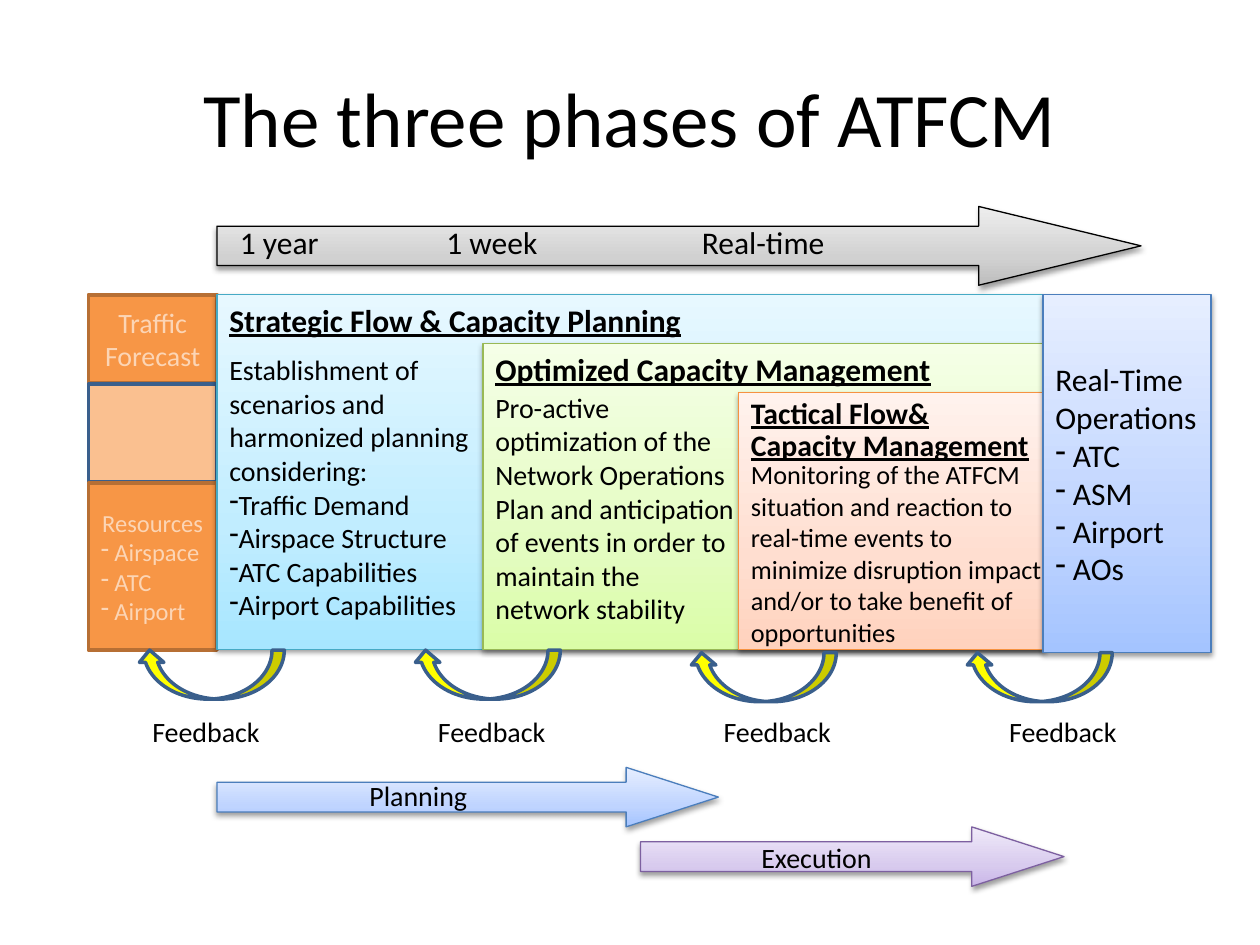
from lxml import etree
from pptx import Presentation
from pptx.dml.color import RGBColor
from pptx.enum.shapes import MSO_SHAPE
from pptx.enum.text import MSO_ANCHOR, PP_ALIGN
from pptx.oxml.ns import qn
from pptx.util import Pt

RECT, ARROW, CURVE = MSO_SHAPE.RECTANGLE, MSO_SHAPE.RIGHT_ARROW, MSO_SHAPE.CURVED_UP_ARROW
LEFT, CENTER = PP_ALIGN.LEFT, PP_ALIGN.CENTER
TOP, MIDDLE = MSO_ANCHOR.TOP, MSO_ANCHOR.MIDDLE
FONT = "Calibri"
HEX = {
    "black": "000000", "orange": "F79646", "rust": "B76F34", "peach": "FAC090",
    "cream": "FCD5B5", "navy": "3A5F8C", "yellow": "FFFF00",
}
FADES = {
    "gray": ("BDBDBD", "D1D1D1", "EEEEEE", "000000"),
    "cyan": ("A7E6FF", "C1EDFF", "E7F8FF", "46AAC5"),
    "green": ("DAFDA7", "E4FCC2", "F5FFE7", "98B955"),
    "red": ("FFD2BD", "FFDED0", "FFF2ED", "F69240"),
    "blue": ("A4C4FF", "BFD4FF", "E6EEFF", "4B7EBC"),
    "purple": ("C9B5E8", "D8CBEE", "F0EAF9", "7D60A0"),
}


def color(code):
    """Turn a hex string into a colour."""
    return RGBColor.from_string(code)


def node(parent, tag, **attrs):
    """Add a drawing element below parent."""
    return etree.SubElement(parent, qn("a:" + tag), {k: str(v) for k, v in attrs.items()})


def write(shape, lines, size, align=LEFT, anchor=TOP, bold=False, tint="black", space=None):
    """Fill a shape with paragraphs; a leading dash makes a bullet."""
    frame = shape.text_frame
    frame.word_wrap, frame.vertical_anchor = True, anchor
    for i, line in enumerate(lines):
        para = frame.add_paragraph() if i else frame.paragraphs[0]
        bullet = line.startswith("-")
        para.text = line[1:] if bullet else line
        para.alignment = LEFT if bullet else align
        if space:
            para.line_spacing = Pt(space)
        font = para.font
        font.name, font.size, font.bold, font.underline = FONT, Pt(size), bold, bold
        font.color.rgb = color(HEX[tint])
        if bullet:
            props = para._p.get_or_add_pPr()
            mark = node(props, "buChar", char="-")
            props.insert(0, mark)


def label(slide, box, lines, size, **look):
    """Place a text box."""
    write(slide.shapes.add_textbox(*map(Pt, box)), lines, size, **look)


def block(slide, kind, box, fill, line):
    """Place a flat shape with a two-point outline."""
    shape = slide.shapes.add_shape(kind, *map(Pt, box))
    shape.shadow.inherit = False
    shape.fill.solid()
    shape.fill.fore_color.rgb = color(HEX[fill])
    shape.line.color.rgb, shape.line.width = color(HEX[line]), Pt(2)
    return shape


def panel(slide, kind, box, fade):
    """Place a shape with an upward fade and a soft shadow."""
    shape = slide.shapes.add_shape(kind, *map(Pt, box))
    *stops, edge = FADES[fade]
    shape.line.color.rgb, shape.line.width = color(edge), Pt(0.75)
    shape.fill.gradient()
    shape.fill.gradient_angle = 90
    props = shape._element.spPr
    ramp = props.find(qn("a:gradFill")).find(qn("a:gsLst"))
    for stop in list(ramp):
        ramp.remove(stop)
    for place, code in zip((0, 35000, 100000), stops):
        node(node(ramp, "gs", pos=place), "srgbClr", val=code)
    shape.shadow.inherit = False
    shade = node(props.find(qn("a:effectLst")), "outerShdw", blurRad=Pt(3.1),
                 dist=Pt(1.6), dir=5400000, rotWithShape=0)
    node(node(shade, "srgbClr", val=HEX["black"]), "alpha", val=38000)
    return shape


def arrow(slide, box, fade, head, words, size):
    """Place a fading arrow with words set at offsets from its corner."""
    left, top, _, _ = box
    shape = panel(slide, ARROW, box, fade)
    shape.adjustments[1] = head
    for text, dx, dy, width in words:
        label(slide, (left + dx, top + dy, width, size + 10.5), [text], size)


def inputs(slide, box):
    """Stack the traffic forecast, the gap and the resources."""
    left, top, width, high = box
    cast = block(slide, RECT, (left, top, width, 50.5), "orange", "rust")
    write(cast, ["Traffic Forecast"], 16, CENTER, MIDDLE, tint="cream")
    block(slide, RECT, (left, top + 51, width, 56), "peach", "navy")
    means = block(slide, RECT, (left, top + 107.5, width, high - 107.5), "orange", "rust")
    write(means, ["Resources", "- Airspace", "- ATC", "- Airport"], 14, CENTER, MIDDLE,
          tint="cream")


def phase(slide, box, fade, head, body):
    """Place a phase panel with its heading and body text."""
    left, top, _, high = box
    panel(slide, RECT, box, fade)
    lines, size, width, space = head
    label(slide, (left, top, width, 29), lines, size, bold=True, space=space)
    lines, size, width, drop = body
    label(slide, (left, top + drop, width, high - drop), lines, size)


def live(slide, box):
    """Place the real-time operations panel."""
    lines = ["Real-Time Operations", "- ATC", "- ASM", "- Airport", "- AOs"]
    write(panel(slide, RECT, box, "blue"), lines, 18, anchor=MIDDLE)


def loops(slide, box, count=4):
    """Place a row of feedback arrows and their labels."""
    left, top, width, high = box
    for i in range(count):
        spot = (left + i * 157.7, top + i // 2 * 1.5, width, high)
        curve = block(slide, CURVE, spot, "yellow", "navy")
        curve._element.spPr.find(qn("a:xfrm")).set("flipH", "1")
    for i in range(count):
        label(slide, (left + i * 163.2, top + 33.5, 78.5, 26.5), ["Feedback"], 16, align=CENTER)


def build():
    """Build and save the slide."""
    deck = Presentation()
    deck.slide_width, deck.slide_height = Pt(720), Pt(540)
    slide = deck.slides.add_slide(deck.slide_layouts[6])
    label(slide, (36, 21.6, 648, 90), ["The three phases of ATFCM"], 44,
          align=CENTER, anchor=MIDDLE)
    arrow(slide, (124, 118, 528, 45), "gray", 2.06,
          [("1 year", 6, 6, 62), ("1 week", 124, 6, 73), ("Real-time", 270, 6, 107)], 18)
    inputs(slide, (50.5, 168.5, 73.5, 203))
    phase(slide, (124, 168.5, 472, 202.5), "cyan",
          (["Strategic Flow & Capacity Planning"], 18, 282, None),
          (["Establishment of scenarios and harmonized planning considering:",
            "-Traffic Demand", "-Airspace Structure", "-ATC Capabilities",
            "-Airport Capabilities"], 16, 158, 29.5))
    phase(slide, (276, 196.5, 320, 174.5), "green",
          (["Optimized Capacity Management"], 18, 282, None),
          (["Pro-active optimization of the Network Operations Plan and anticipation "
            "of events in order to maintain the network stability"], 16, 152, 23))
    phase(slide, (422, 224.5, 174, 146.5), "red",
          (["Tactical Flow&", "Capacity Management"], 17, 192, 18),
          (["Monitoring of the ATFCM situation and reaction to real-time events to "
            "minimize disruption impact and/or to take benefit of opportunities"],
           15, 186, 34))
    live(slide, (596, 168.5, 96, 204.5))
    loops(slide, (78.5, 371.5, 84, 28))
    arrow(slide, (124, 438.5, 286.5, 34), "blue", 1.55, [("Planning", 80, 3, 84)], 16)
    arrow(slide, (366, 472.5, 242, 34), "purple", 1.55, [("Execution", 62, 4, 84)], 16)
    deck.save("out.pptx")


build()
